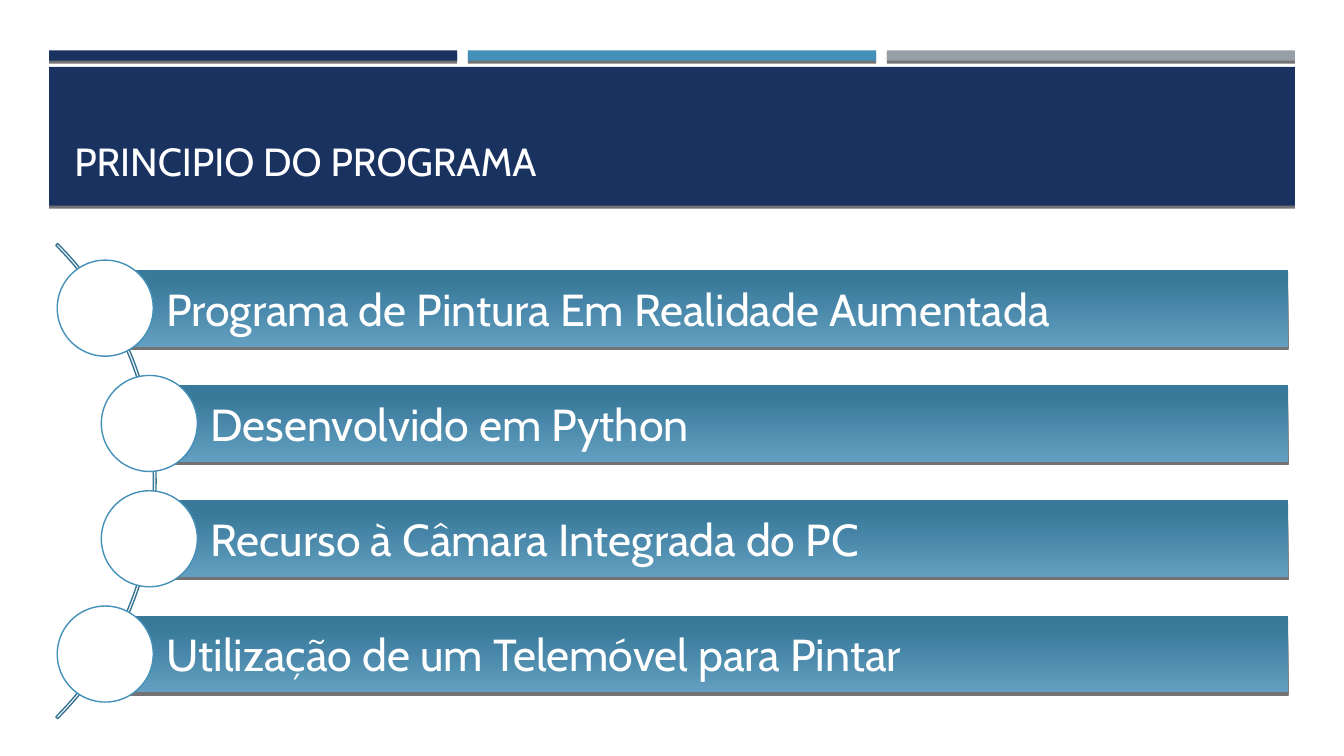
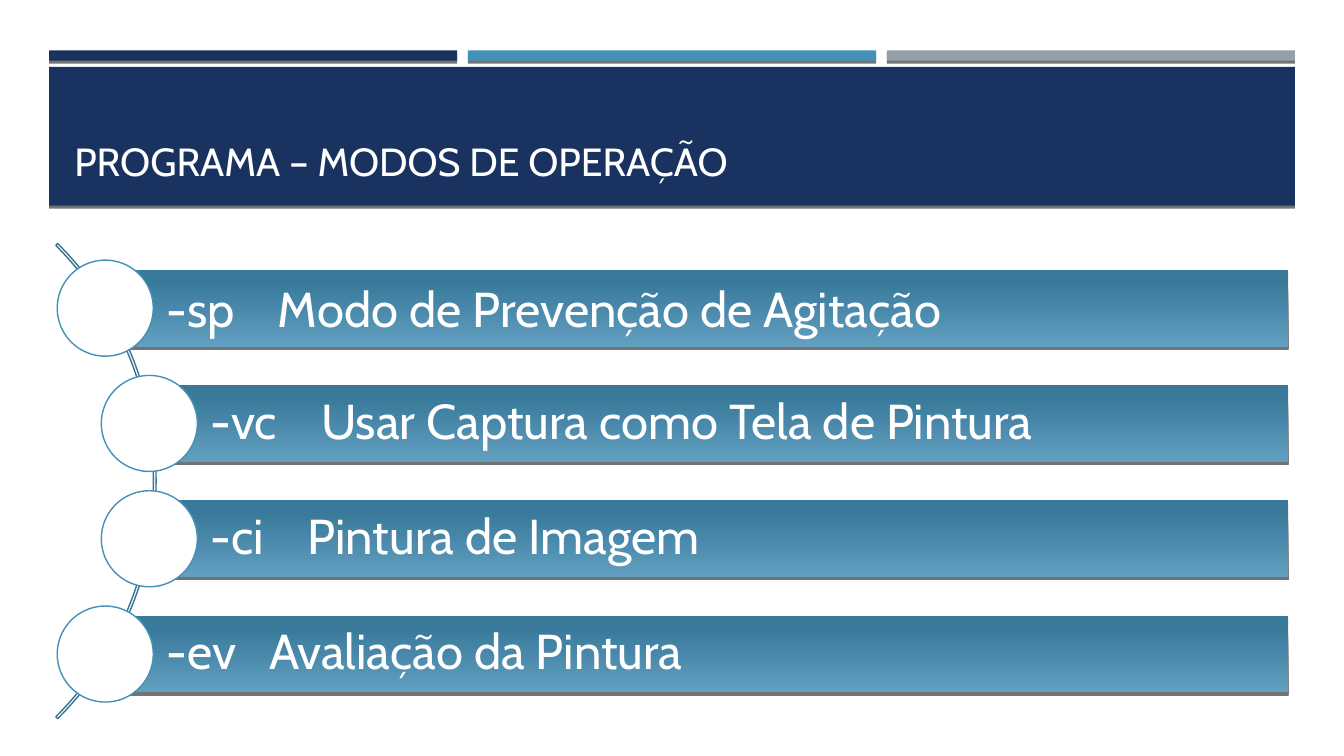
from dataclasses import dataclass

from lxml.etree import SubElement
from pptx import Presentation
from pptx.dml.color import RGBColor
from pptx.enum.shapes import MSO_SHAPE
from pptx.enum.text import MSO_ANCHOR, PP_ALIGN
from pptx.oxml.ns import qn
from pptx.util import Pt


@dataclass(frozen=True)
class Theme:
    font: str = "Cabin"
    navy: str = "1A3260"
    blue: str = "4590B8"
    gray: str = "969FA7"
    white: str = "FFFFFF"
    black: str = "000000"
    arc: str = "377393"
    bar_top: str = "39799A"
    bar_bottom: str = "629FC1"
    title_size: float = 28
    plain_size: float = 32
    option_size: float = 35


@dataclass(frozen=True)
class Item:
    text: str
    tab: float = 0  # distance from the text edge to the description
    line_spacing: float = 1.0


THEME = Theme()

# Header geometry
MARGIN, HEADER_WIDTH = 35, 890
STRIP_WIDTH, STRIP_HEIGHT = 291.6, 7.4

# List geometry: each circle is centred on the left edge of its bar
BAR_TOP, BAR_HEIGHT, BAR_PITCH, BAR_RIGHT = 192.7, 54.9, 82.35, 920.2
OUTER_LEFT, INNER_LEFT = 75.2, 106.7
CIRCLE = 68.6
ARC_LEFT, ARC_SIZE = -368.5, 480

SLIDES = [
    ("PRINCIPIO DO PROGRAMA", THEME.plain_size, [
        Item("Programa de Pintura Em Realidade Aumentada"),
        Item("Desenvolvido em Python"),
        Item("Recurso à Câmara Integrada do PC"),
        Item("Utilização de um Telemóvel para Pintar"),
    ]),
    ("PROGRAMA – MODOS DE OPERAÇÃO", THEME.option_size, [
        Item("-sp\tModo de Prevenção de Agitação", 79.8),
        Item("-vc\tUsar Captura como Tela de Pintura", 79.1, 0.9),
        Item("-ci\tPintura de Imagem", 69.6, 0.9),
        Item("-ev\tAvaliação da Pintura", 73.4, 0.9),
    ]),
]


def color(value):
    return RGBColor.from_string(value)


def add_shadow(shape):
    """Give the shape a hard shadow straight below it."""
    effects = shape._element.spPr.find(qn("a:effectLst"))
    shadow = SubElement(effects, qn("a:outerShdw"), blurRad="0",
                        dist=str(Pt(2)), dir="5400000", rotWithShape="0")
    tint = SubElement(shadow, qn("a:srgbClr"), val=THEME.black)
    SubElement(tint, qn("a:alpha"), val="55000")


def add_figure(page, kind, left, top, width, height, fill=None, line=None):
    shape = page.shapes.add_shape(kind, Pt(left), Pt(top), Pt(width), Pt(height))
    shape.shadow.inherit = False
    if fill:
        shape.fill.solid()
        shape.fill.fore_color.rgb = color(fill)
    else:
        shape.fill.background()
    if line:
        shape.line.color.rgb = color(line)
        shape.line.width = Pt(1)
    else:
        shape.line.fill.background()
    return shape


def add_band(page, left, top, width, height, fill=None):
    band = add_figure(page, MSO_SHAPE.RECTANGLE, left, top, width, height, fill)
    add_shadow(band)
    return band


def set_text(shape, text, size, anchor):
    frame = shape.text_frame
    frame.word_wrap = True
    frame.vertical_anchor = anchor
    para = frame.paragraphs[0]
    para.text = text
    para.alignment = PP_ALIGN.LEFT
    para.font.name = THEME.font
    para.font.size = Pt(size)
    para.font.color.rgb = color(THEME.white)
    return para


def add_header(page, title):
    step = (HEADER_WIDTH - STRIP_WIDTH) / 2
    for index, fill in enumerate((THEME.navy, THEME.blue, THEME.gray)):
        add_band(page, MARGIN + index * step, 36, STRIP_WIDTH, STRIP_HEIGHT, fill)
    add_band(page, MARGIN, 47.8, HEADER_WIDTH, 99.2, THEME.navy)
    box = page.shapes.add_textbox(Pt(46), Pt(57.6), Pt(868.3), Pt(77.8))
    set_text(box, title, THEME.title_size, MSO_ANCHOR.BOTTOM)


def add_arc(page):
    """Draw the thin quarter ring that runs behind the circles."""
    top = BAR_TOP + (3 * BAR_PITCH + BAR_HEIGHT - ARC_SIZE) / 2
    arc = add_figure(page, MSO_SHAPE.BLOCK_ARC, ARC_LEFT, top,
                     ARC_SIZE, ARC_SIZE, line=THEME.arc)
    # Start angle, end angle, thickness
    for index, value in enumerate((189, 27, 0.004)):
        arc.adjustments[index] = value


def add_tab_stop(para, position):
    properties = para._p.get_or_add_pPr()
    tabs = SubElement(properties, qn("a:tabLst"))
    SubElement(tabs, qn("a:tab"), pos=str(Pt(position)), algn="l")
    # Tab stops come before the default run properties
    properties.find(qn("a:defRPr")).addprevious(tabs)


def add_bar(page, left, top, item, size):
    bar = add_band(page, left, top, BAR_RIGHT - left, BAR_HEIGHT)
    bar.fill.gradient()
    bar.fill.gradient_angle = 270
    stops = ((0.16, THEME.bar_top), (1, THEME.bar_bottom))
    for stop, (position, value) in zip(bar.fill.gradient_stops, stops):
        stop.position = position
        stop.color.rgb = color(value)
    para = set_text(bar, item.text, size, MSO_ANCHOR.MIDDLE)
    para.line_spacing = item.line_spacing
    para.space_after = Pt(12.2)
    bar.text_frame.margin_left = Pt(43.6)
    bar.text_frame.margin_top = bar.text_frame.margin_bottom = Pt(7)
    if item.tab:
        add_tab_stop(para, item.tab)


def add_circle(page, center_x, center_y):
    add_figure(page, MSO_SHAPE.OVAL, center_x - CIRCLE / 2,
               center_y - CIRCLE / 2, CIRCLE, CIRCLE, THEME.white, THEME.blue)


def add_curved_list(page, items, size):
    add_arc(page)
    for index, item in enumerate(items):
        at_end = index in (0, len(items) - 1)
        left = OUTER_LEFT if at_end else INNER_LEFT
        top = BAR_TOP + index * BAR_PITCH
        add_bar(page, left, top, item, size)
        add_circle(page, left, top + BAR_HEIGHT / 2)


def main():
    deck = Presentation()
    deck.slide_width, deck.slide_height = Pt(960), Pt(540)
    blank = deck.slide_layouts[6]
    for title, size, items in SLIDES:
        page = deck.slides.add_slide(blank)
        add_header(page, title)
        add_curved_list(page, items, size)
    deck.save("out.pptx")


if __name__ == "__main__":
    main()
